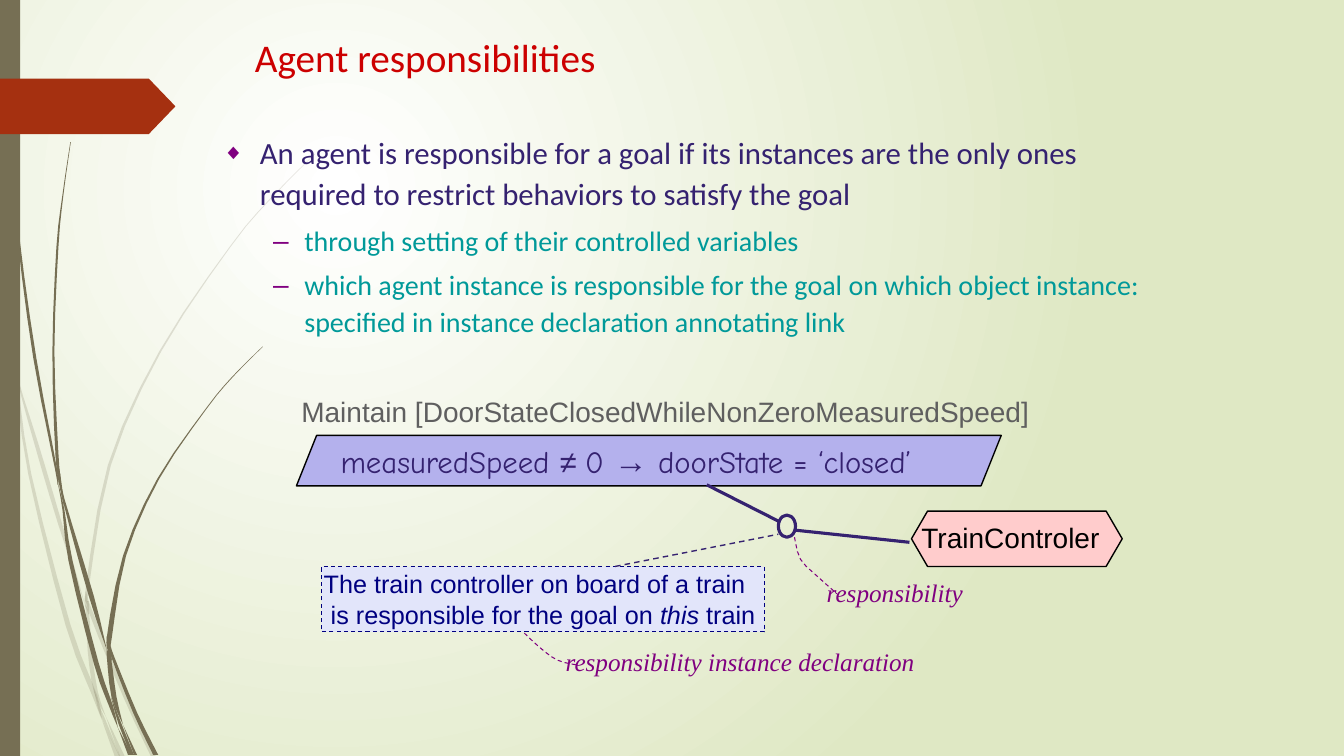
"""Build the slide on agent responsibilities on a grid of 1333 columns by 750 rows."""
from lxml import etree
from pptx import Presentation
from pptx import util as u
from pptx.dml import color
from pptx.enum import dml, shapes, text
from pptx.oxml import ns

CELL = u.Inches(0.01)
COLUMNS, ROWS = 1333, 750
OLIVE, INDIGO, NAVY, PURPLE = "766F54", "352270", "000080", "800080"
TEAL, BLACK = "009999", "000000"
PAD, TIGHT = (10, 5, 10, 5), (2, 2, 2, 0)

# Each wisp lists column, row and thickness along its centre.
PALE_WISPS = [
    [(0, 282, 0), (2, 299, 4), (7.5, 322, 3), (11, 350, 0)],
    [(14, 345, 0), (17.5, 376, 1), (36, 440, 4), (60, 521, 4), (84, 599, 0)],
    [(88, 596, 0), (90, 607, 4), (125, 693, 4), (152.5, 751, 5)],
    [(105, 711, 0), (121.5, 751, 5)],
    [(11, 350, 0), (16, 376, 2), (29.5, 470, 3), (67.5, 620, 5),
     (94, 690, 5), (101, 714, 0)],
    [(84, 599, 0), (87, 610, 3), (89, 646, 4), (95, 686, 4), (105, 711, 0)],
    [(312, 153, 0.5), (268, 197.5, 1), (228.5, 244.5, 1), (159, 348.5, 2),
     (108.5, 461.5, 3), (86.5, 584, 3), (88, 596, 0)],
    [(101, 714, 0), (116.5, 751, 5)],
    [(85, 586, 0), (86, 598, 4), (88, 610, 0)],
    [(93, 683, 0), (97.5, 700, 2), (103, 714, 3), (119, 751, 1)],
]
DARK_WISPS = [
    [(3.5, 0, 1), (7.5, 110, 1), (18, 233, 2), (34.5, 355, 3),
     (55.5, 465, 2), (57, 481, 0)],
    [(60, 472, 0), (63, 495, 2), (90.5, 591, 5), (106, 645, 0)],
    [(110, 641, 0), (112, 652, 3), (134, 707, 4), (154.5, 749, 5)],
    [(57, 477, 0), (63, 506, 2), (70, 556.5, 4), (95.5, 658, 5),
     (110, 700, 4), (117, 722, 0)],
    [(70, 141, 0.5), (62.5, 193, 1), (57, 245, 2), (53, 349, 2),
     (56.5, 450, 3), (60, 472, 0)],
    [(122, 719, 0), (134.5, 749, 3)],
    [(55, 449, 0), (58.5, 472, 3), (64, 505, 0)],
    [(260.5, 344, 0.5), (231, 373.5, 1), (204.5, 405.5, 1), (157, 475, 2),
     (123.5, 551.5, 3), (108.5, 632, 5), (110, 641, 0)],
    [(117, 722, 0), (129, 749, 4)],
    [(106, 645, 0), (108, 652, 4), (113, 691, 5), (122, 719, 0)],
    [(106, 631, 0), (108, 642, 4), (111, 656, 0)],
    [(110, 691, 0), (119, 718, 3), (131.5, 749, 3)],
]


def rgb(hex_code):
    return color.RGBColor.from_string(hex_code)


def cells(*counts):
    return [int(count * CELL) for count in counts]


def child(parent, tag, **attributes):
    return etree.SubElement(parent, ns.qn(tag), attributes)


def smooth(knots, steps=3):
    padded = [knots[0], *knots, knots[-1]]
    curve = []
    for a, b, c, d in zip(padded, padded[1:], padded[2:], padded[3:]):
        for t in (step / steps for step in range(steps)):
            curve.append(tuple(
                q + t * (r - p + t * (2 * p - 5 * q + 4 * r - s
                                      + t * (3 * q - p - 3 * r + s))) / 2
                for p, q, r, s in zip(a, b, c, d)))
    return curve + [knots[-1]]


def outline(part, stroke, weight, dashed):
    if stroke is None:
        part.line.fill.background()
        return
    part.line.color.rgb = rgb(stroke)
    part.line.width = u.Pt(weight)
    if dashed:
        part.line.dash_style = dml.MSO_LINE.DASH


def finish(part, fill=None, stroke=None, weight=1, dashed=False):
    part.shadow.inherit = False
    if fill:
        part.fill.solid()
        part.fill.fore_color.rgb = rgb(fill)
    else:
        part.fill.background()
    outline(part, stroke, weight, dashed)
    return part


def preset(slide, kind, place, adjust=None, **look):
    part = slide.shapes.add_shape(kind, *cells(*place))
    if adjust is not None:
        part.adjustments[0] = adjust
    return finish(part, **look)


def path(slide, points, closed, **look):
    start, *rest = [cells(*point) for point in points]
    builder = slide.shapes.build_freeform(*start)
    builder.add_line_segments(rest, close=closed)
    return finish(builder.convert_to_shape(), **look)


def wisp(slide, knots, opacity=100):
    centre = smooth(knots)
    left = [(x - w / 2, y) for x, y, w in centre]
    right = [(x + w / 2, y) for x, y, w in reversed(centre)]
    blade = path(slide, left + right, True, fill=OLIVE)
    if opacity < 100:
        tint = blade.fill._xPr.find(".//" + ns.qn("a:srgbClr"))
        child(tint, "a:alpha", val=str(opacity * 1000))


def link(slide, start, end, weight, dashed=False):
    edge = slide.shapes.add_connector(
        shapes.MSO_CONNECTOR.STRAIGHT, *cells(*start, *end))
    outline(edge, INDIGO, weight, dashed)
    child(edge._element.spPr, "a:effectLst")


def frame_of(part, insets, anchor):
    frame = part.text_frame
    frame.word_wrap = True
    frame.vertical_anchor = anchor
    (frame.margin_left, frame.margin_top,
     frame.margin_right, frame.margin_bottom) = cells(*insets)
    return frame


def write(paragraph, words, size, font, ink, italic=False):
    run = paragraph.add_run()
    run.text = words
    run.font.size = u.Pt(size)
    run.font.name = font
    run.font.color.rgb = rgb(ink)
    run.font.italic = italic


def label(slide, place, runs, insets=PAD, anchor=text.MSO_ANCHOR.MIDDLE):
    box = slide.shapes.add_textbox(*cells(*place))
    frame = frame_of(box, insets, anchor)
    for run in runs:
        write(frame.paragraphs[0], *run)


def bullet(paragraph, mark, margin, hang, percent):
    props = paragraph._p.get_or_add_pPr()
    props.set("marL", str(cells(margin)[0]))
    props.set("indent", str(cells(-hang)[0]))
    child(child(props, "a:buClr"), "a:srgbClr", val=PURPLE)
    child(props, "a:buSzPct", val=str(percent * 1000))
    child(props, "a:buFont", typeface="Arial")
    child(props, "a:buChar", char=mark)
    paragraph.line_spacing = 1.1


def backdrop(slide):
    fill = slide.background.fill
    fill.gradient()
    for place, (stop, tint) in enumerate(zip(fill.gradient_stops, ("FFFFFF", "DFE8C4"))):
        stop.color.rgb = rgb(tint)
        stop.position = place
    linear = slide._element.find(".//" + ns.qn("a:lin"))
    gradient = linear.getparent()
    gradient.remove(linear)
    circle = child(gradient, "a:path", path="circle")
    child(circle, "a:fillToRect", l="50000", t="50000", r="100000", b="100000")
    for wisps, opacity in ((PALE_WISPS, 20), (DARK_WISPS, 100)):
        for knots in wisps:
            wisp(slide, knots, opacity)
    preset(slide, shapes.MSO_SHAPE.RECTANGLE, (0, 0, 20, ROWS), fill=OLIVE)
    preset(slide, shapes.MSO_SHAPE.PENTAGON, (0, 78, 174, 55), 0.48, fill="A53010")


def definition(slide):
    label(slide, (243, 15, 846, 83),
          [("Agent responsibilities", 28, "Calibri", "CC0000")])
    box = slide.shapes.add_textbox(*cells(211, 99, 959, 267))
    frame = frame_of(box, PAD, text.MSO_ANCHOR.MIDDLE)
    rule = frame.paragraphs[0]
    bullet(rule, "◆", 37, 37, 70)
    write(rule, "An agent is responsible for a goal if its instances are the only "
          "ones required to restrict behaviors to satisfy the goal",
          22, "Calibri", INDIGO)
    for words, gap in (
            ("through setting of their controlled variables", 6.2),
            ("which agent instance is responsible for the goal on which object "
             "instance: specified in instance declaration annotating link", 5)):
        detail = frame.add_paragraph()
        detail.level = 1
        bullet(detail, "–", 81, 31, 100)
        detail.space_before = u.Pt(gap)
        write(detail, words, 20, "Calibri", TEAL)


def goal_and_agent(slide):
    preset(slide, shapes.MSO_SHAPE.PARALLELOGRAM, (294, 432, 699, 50), 0.4,
           fill="B4B1ED", stroke=BLACK)
    label(slide, (328, 431, 640, 51), [
        ("measuredSpeed ", 22, "Comic Neue", INDIGO), ("≠ ", 22, "Arial", INDIGO),
        ("0 ", 22, "Comic Neue", INDIGO), ("→", 24, "Arial", INDIGO),
        (" doorState = ‘closed’", 22, "Comic Neue", INDIGO)])
    label(slide, (289, 383, 763, 51),
          [("Maintain [DoorStateClosedWhileNonZeroMeasuredSpeed]", 20, "Arial", "5F5F5F")])
    preset(slide, shapes.MSO_SHAPE.HEXAGON, (904, 507, 209, 55), 0.29,
           fill="FFCCCC", stroke=BLACK)
    label(slide, (904, 511, 207, 44), [("TrainControler", 20, "Arial", BLACK)])
    link(slide, (701, 481), (774, 518), 2.25)
    preset(slide, shapes.MSO_SHAPE.OVAL, (772, 511, 17, 22), stroke=INDIGO, weight=2.25)
    link(slide, (789, 526), (902, 538), 2.25)


def annotations(slide):
    note = preset(slide, shapes.MSO_SHAPE.RECTANGLE, (319, 562, 439, 65),
                  fill="E2E5FA", stroke=NAVY, weight=0.75, dashed=True)
    frame = frame_of(note, TIGHT, text.MSO_ANCHOR.TOP)
    subject, claim = frame.paragraphs[0], frame.add_paragraph()
    subject.alignment = claim.alignment = text.PP_ALIGN.JUSTIFY
    claim._p.get_or_add_pPr().set("marL", str(cells(7)[0]))
    claim.line_spacing = 0.9
    claim.space_before = u.Pt(3)
    write(subject, "The train controller on board of a train", 18, "Arial", NAVY)
    for words, italic in (("is responsible for the goal on ", False),
                          ("this", True), (" train", False)):
        write(claim, words, 18, "Arial", NAVY, italic)
    link(slide, (610, 562), (772, 530), 1, dashed=True)
    for words, place, tail in (
            ("responsibility", (818, 571, 167, 33),
             [(788, 533), (794, 555), (812, 573), (830, 589)]),
            ("responsibility instance declaration", (559, 639, 372, 39),
             [(520, 628), (535, 642), (553, 655), (574, 660)])):
        path(slide, smooth(tail), False, stroke=PURPLE, weight=0.75, dashed=True)
        label(slide, place, [(words, 18, "Times New Roman", PURPLE, True)],
              TIGHT, text.MSO_ANCHOR.TOP)


def main():
    deck = Presentation()
    deck.slide_width, deck.slide_height = cells(COLUMNS, ROWS)
    slide = deck.slides.add_slide(deck.slide_layouts[6])
    for draw in (backdrop, definition, goal_and_agent, annotations):
        draw(slide)
    deck.save("out.pptx")


if __name__ == "__main__":
    main()
